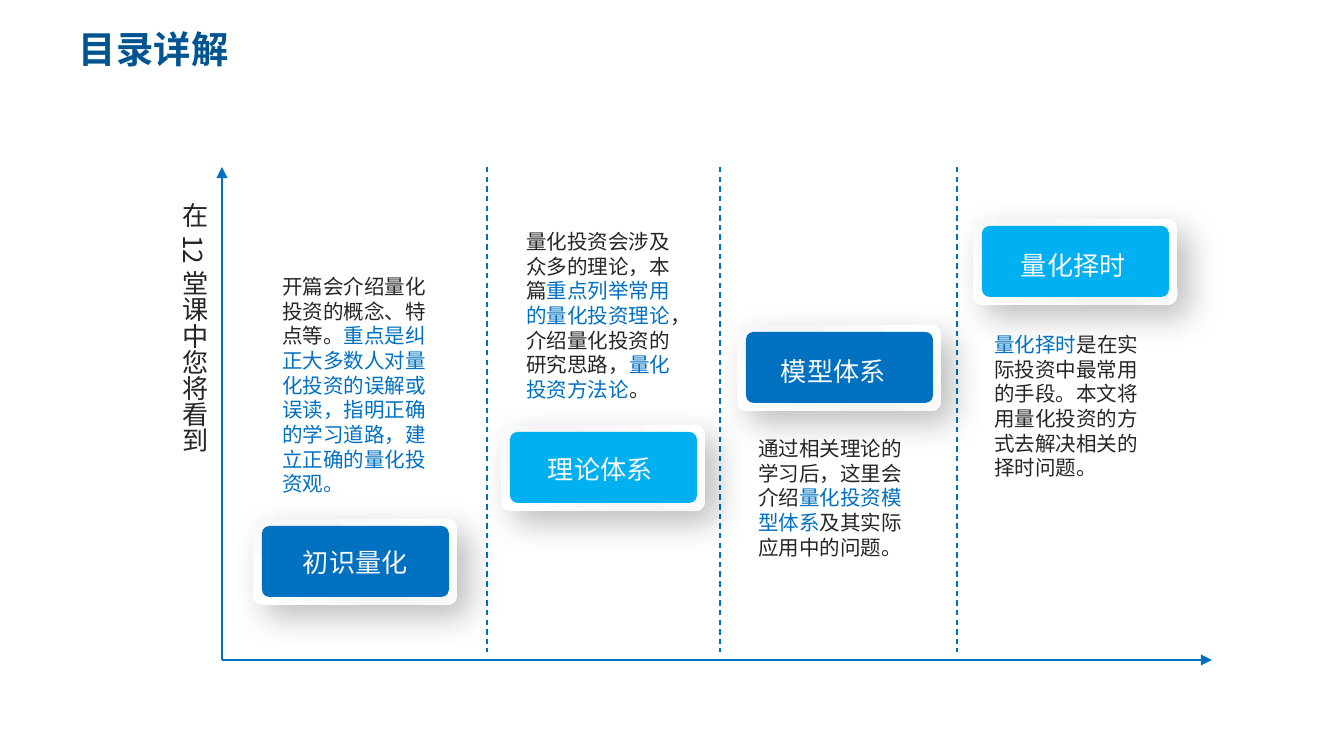
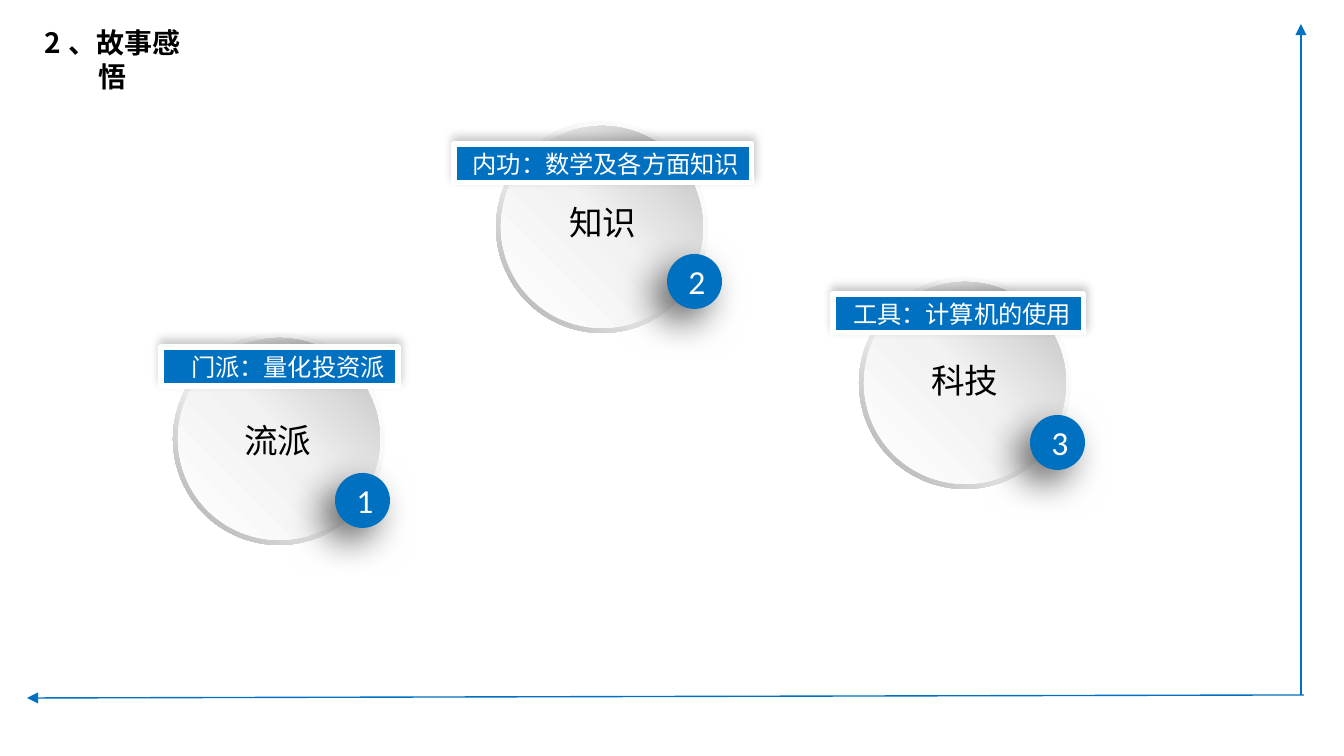
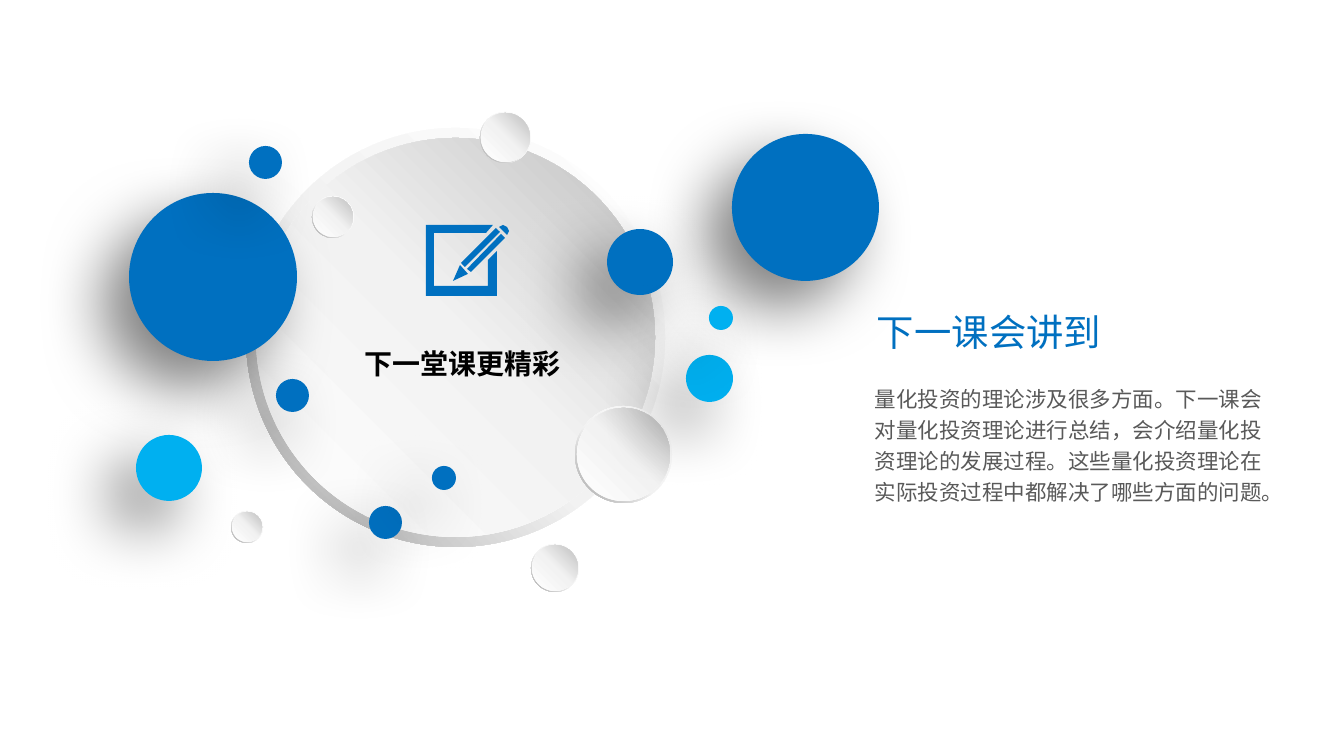
from pptx import Presentation
from pptx.dml.color import RGBColor as Rgb
from pptx.enum.dml import MSO_LINE as Dash
from pptx.enum.shapes import MSO_CONNECTOR as Conn, MSO_SHAPE as Kind
from pptx.enum.text import MSO_ANCHOR as Anchor, PP_ALIGN as Align
from pptx.oxml import parse_xml
from pptx.oxml.ns import nsdecls
from pptx.util import Pt

# Shared style
PX = 914400 / 134.4
CJK = "Noto Sans CJK SC"
HEX = {
    "blue": "0070C0", "sky": "00B0F0", "navy": "005490", "white": "FFFFFF",
    "snow": "F8F8F8", "black": "000000", "ink": "262626", "gray": "595959",
}
# Gradients: angle, then (position, colour) stops
PANEL = (315, (0, "FFFFFF"), (47, "F5F5F5"), (100, "FFFFFF"))
RIM = (135, (0, "FFFFFF"), (55, "F2F2F2"), (100, "A6A6A6"))
FACE = (315, (0, "FFFFFF"), (51, "F2F2F2"), (100, "BFBFBF"))
# Shadows: opacity, blur, distance, angle
CARD_SHADE = (25, 18, 9, 45)
BADGE_SHADE = (60, 20, 10, 135)
TAG_SHADE = (22, 5, 3, 275)
BALL_SHADE = (50, 35, 20, 135)


def emu(*sizes):
    return [round(size * PX) for size in sizes]


def xml(tag, attrs="", body=""):
    return parse_xml(f"<a:{tag} {nsdecls('a')} {attrs}>{body}</a:{tag}>")


def color(name):
    return Rgb.from_string(HEX[name])


# Text
def style(run, size, tint, bold=False, face=CJK):
    font = run.font
    font.size, font.bold, font.name = Pt(size), bold, face
    font.color.rgb = color(tint)
    run._r.get_or_add_rPr().append(xml("ea", f'typeface="{CJK}"'))


def write(frame, parts, size, bold=False, face=CJK, align=Align.LEFT, space=None):
    """Fill one paragraph from (text, colour) parts."""
    para = frame.paragraphs[0]
    para.text = parts[0][0]
    for words, _ in parts[1:]:
        para.add_run().text = words
    for run, (_, tint) in zip(para.runs, parts):
        style(run, size, tint, bold, face)
    para.alignment = align
    if space:
        para.line_spacing = space


def text(slide, box, parts, size, pad=(13, 7), **look):
    frame = slide.shapes.add_textbox(*emu(*box)).text_frame
    frame.word_wrap = True
    frame.margin_left = frame.margin_right = emu(pad[0])[0]
    frame.margin_top = frame.margin_bottom = emu(pad[1])[0]
    write(frame, parts, size, **look)
    return frame


# Shapes
def paint(item, fill, shade=None):
    """Set a plain or gradient fill, no line, and an optional shadow."""
    props = item._element.spPr
    if isinstance(fill, str):
        item.fill.solid()
        item.fill.fore_color.rgb = color(fill)
    else:
        stops = "".join(
            f'<a:gs pos="{pos * 1000}"><a:srgbClr val="{tint}"/></a:gs>'
            for pos, tint in fill[1:])
        body = f'<a:gsLst>{stops}</a:gsLst><a:lin ang="{fill[0] * 60000}" scaled="0"/>'
        props.insert(2, xml("gradFill", 'rotWithShape="1"', body))
    item.line.fill.background()
    item.shadow.inherit = False
    if shade:
        alpha, blur, dist, turn = shade
        props.effectLst.append(xml(
            "outerShdw",
            f'blurRad="{Pt(blur)}" dist="{Pt(dist)}" dir="{turn * 60000}" '
            'algn="ctr" rotWithShape="0"',
            f'<a:srgbClr val="000000"><a:alpha val="{alpha * 1000}"/></a:srgbClr>'))


def shape(slide, kind, box, fill, shade=None, adjust=None):
    item = slide.shapes.add_shape(kind, *emu(*box))
    if adjust:
        item.adjustments[0] = adjust
    paint(item, fill, shade)
    return item


def line(slide, start, end, arrow=False):
    item = slide.shapes.add_connector(Conn.STRAIGHT, *emu(*start, *end))
    item.line.color.rgb = color("blue")
    item.line.width = Pt(0.75)
    if arrow:
        item.line._get_or_add_ln().append(xml("tailEnd", 'type="triangle"'))
    else:
        item.line.dash_style = Dash.DASH
    item._element.spPr.append(xml("effectLst"))


def inner(x, y, size):
    gap = round(size * 0.023)
    return x + gap, y + gap, size - 2 * gap, size - 2 * gap


def disc(slide, x, y, size):
    shape(slide, Kind.DONUT, (x, y, size, size), RIM, adjust=0.049)
    shape(slide, Kind.OVAL, inner(x, y, size), FACE)


def ball(slide, x, y, size, fill):
    shape(slide, Kind.OVAL, (x, y, size, size), fill, BALL_SHADE)
    shape(slide, Kind.OVAL, inner(x, y, size), fill)


def card(slide, x, y, fill, name, dx, dy):
    shape(slide, Kind.ROUNDED_RECTANGLE, (x, y, 204, 86), PANEL, CARD_SHADE, 0.106)
    shape(slide, Kind.ROUNDED_RECTANGLE, (x + 9, y + 7, 187, 71), fill, adjust=0.106)
    text(slide, (x + dx, y + dy, 160, 47), [(name, "snow")], 14)


def badge(slide, x, y, number):
    item = shape(slide, Kind.OVAL, (x, y, 55, 55), "blue", BADGE_SHADE)
    item.text_frame.vertical_anchor = Anchor.MIDDLE
    write(item.text_frame, [(number, "white")], 18, face="Calibri", align=Align.CENTER)


def tag(slide, x, y, width, words):
    item = shape(slide, Kind.RECTANGLE, (x, y, width, 39), "blue", TAG_SHADE)
    item.line.color.rgb = color("white")
    item.line.width = Pt(2.75)
    item.text_frame.vertical_anchor = Anchor.MIDDLE
    write(item.text_frame, [(words, "white")], 13, face="Calibri", align=Align.RIGHT)


def pencil(slide):
    outlines = [
        [(468, 274), (460, 265), (453, 281)],
        [(496, 228), (461, 263), (465, 267), (500, 232)],
        [(467, 269), (471, 272), (505, 238), (501, 234)],
        [(507, 227), (503, 225), (499, 227), (507, 235), (509, 231)],
        [(488, 286), (434, 286), (434, 233), (486, 233), (493, 225),
         (426, 225), (426, 296), (497, 296), (497, 251), (488, 260)],
    ]
    for first, *rest in outlines:
        pen = slide.shapes.build_freeform(*first, scale=PX)
        pen.add_line_segments(rest, close=True)
        paint(pen.convert_to_shape(), "blue")


# Slides
def outline(slide):
    corner = (222, 660)
    line(slide, corner, (222, 167), arrow=True)
    line(slide, corner, (1212, 660), arrow=True)
    for x in (487, 720, 957):
        line(slide, (x, 167), (x, 652))

    cards = [
        (253, 519, "blue", "初识量化", 37, 20),
        (501, 425, "sky", "理论体系", 34, 21),
        (737, 325, "blue", "模型体系", 31, 23),
        (973, 219, "sky", "量化择时", 35, 23),
    ]
    for item in cards:
        card(slide, *item)

    notes = [
        (269, 267, 312, [
            ("开篇会介绍量化投资的概念、特点等。", "ink"),
            ("重点是纠正大多数人对量化投资的误解或误读，指明正确的学习道路，"
             "建立正确的量化投资观。", "blue")]),
        (513, 222, 188, [
            ("量化投资会涉及众多的理论，本篇", "ink"),
            ("重点列举常用的量化投资理论", "blue"),
            ("，介绍量化投资的研究思路，", "ink"),
            ("量化投资方法论", "blue"), ("。", "ink")]),
        (745, 429, 138, [
            ("通过相关理论的学习后，这里会介绍", "ink"),
            ("量化投资模型体系", "blue"),
            ("及其实际应用中的问题。", "ink")]),
        (981, 325, 163, [
            ("量化择时", "blue"),
            ("是在实际投资中最常用的手段。本文将用量化投资的方式去解决"
             "相关的择时问题。", "ink")]),
    ]
    for x, y, height, parts in notes:
        text(slide, (x, y, 173, height), parts, 11)

    side = text(slide, (164, 196, 59, 273), [("在12堂课中您将看到", "ink")], 14)
    side._txBody.bodyPr.set("vert", "eaVert")
    text(slide, (66, 19, 191, 55), [("目录详解", "navy")], 20, bold=True)


def story(slide):
    line(slide, (1301, 695), (1301, 24), arrow=True)
    line(slide, (1304, 695), (27, 698), arrow=True)
    text(slide, (20, 19, 185, 47), [("2、故事感悟", "black")], 15,
         bold=True, align=Align.CENTER)

    # Disc place, badge place, word place, tag place and width
    themes = [
        ((173, 333), (335, 473), (231, 413), (161, 347, 237), "流派", "门派：量化投资派"),
        ((496, 121), (667, 254), (556, 195), (454, 144, 298), "知识", "内功：数学及各方面知识"),
        ((859, 277), (1030, 415), (918, 353), (833, 294, 251), "科技", "工具：计算机的使用"),
    ]
    for number, (round_at, badge_at, word_at, tag_at, word, label) in enumerate(themes, 1):
        disc(slide, *round_at, 212)
        badge(slide, *badge_at, str(number))
        text(slide, (*word_at, 95, 54), [(word, "black")], 18)
        tag(slide, *tag_at, label)


def preview(slide):
    discs = [(246, 128, 419), (575, 406, 97), (312, 196, 42),
             (531, 544, 48), (480, 112, 51), (231, 511, 32)]
    for item in discs:
        disc(slide, *item)
    pencil(slide)

    text(slide, (352, 323, 231, 59), [("下一堂课更精彩", "black")], 15,
         bold=True, align=Align.JUSTIFY, space=1.5)
    text(slide, (864, 302, 403, 59), [("下一课会讲到", "blue")], 20)
    text(slide, (866, 376, 411, 132), [(
        "量化投资的理论涉及很多方面。下一课会对量化投资理论进行总结，"
        "会介绍量化投资理论的发展过程。这些量化投资理论在实际投资过程中"
        "都解决了哪些方面的问题。", "gray")], 11.5, pad=(9, 5), space=1.2)

    balls = [
        (732, 134, 147, "blue"), (129, 193, 168, "blue"), (136, 435, 66, "sky"),
        (276, 379, 33, "blue"), (249, 146, 33, "blue"), (369, 506, 33, "blue"),
        (432, 466, 24, "blue"), (607, 229, 66, "blue"), (686, 355, 47, "sky"),
        (709, 306, 24, "sky"),
    ]
    for item in balls:
        ball(slide, *item)


def main():
    deck = Presentation()
    deck.slide_width, deck.slide_height = emu(1344, 756)
    for build in (outline, story, preview):
        build(deck.slides.add_slide(deck.slide_layouts[6]))
    deck.save("out.pptx")


if __name__ == "__main__":
    main()
